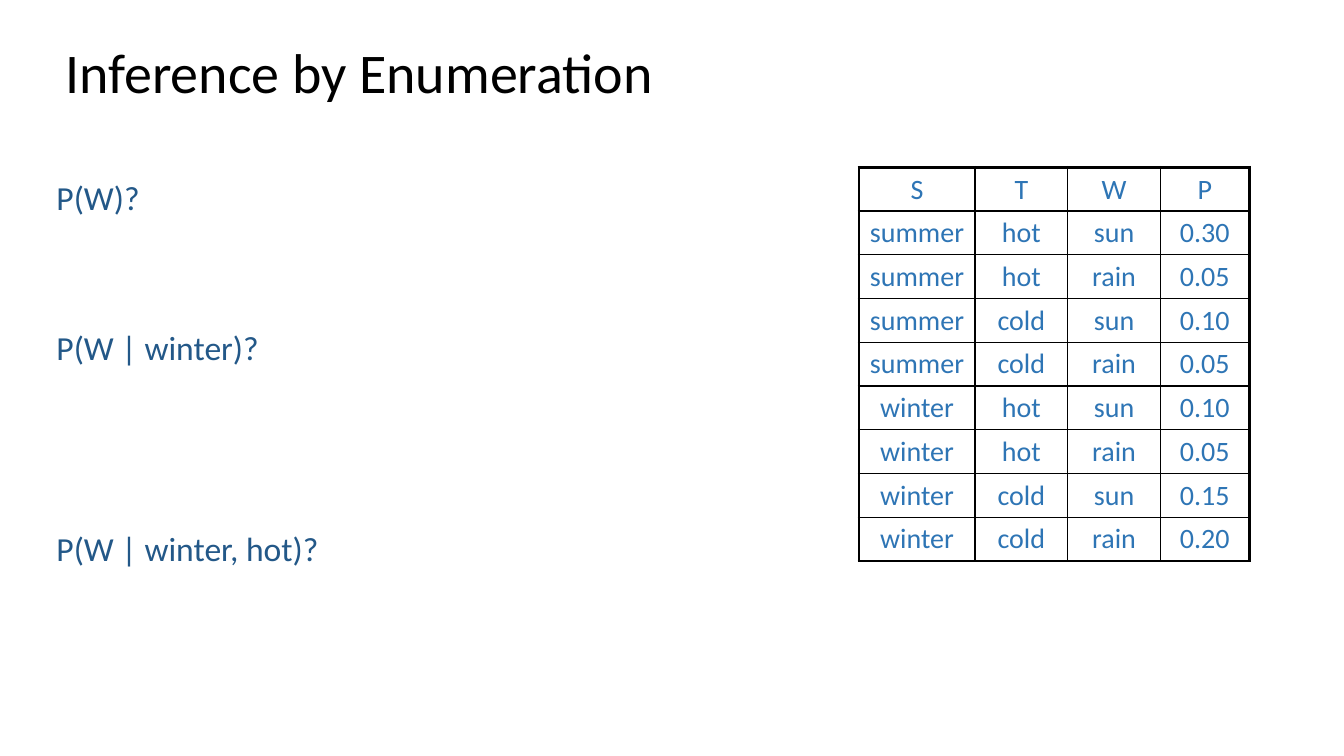
from lxml.etree import SubElement
from pptx import Presentation
from pptx.dml.color import RGBColor
from pptx.enum.text import MSO_ANCHOR, PP_ALIGN
from pptx.oxml.ns import qn
from pptx.util import Inches, Pt

TITLE = "Inference by Enumeration"
# Each query with the number of line steps below the previous one
QUERIES = [("P(W)?", 0), ("P(W | winter)?", 3), ("P(W | winter, hot)?", 4)]
JOINT_TABLE = [
    ("S", "T", "W", "P"),
    ("summer", "hot", "sun", "0.30"),
    ("summer", "hot", "rain", "0.05"),
    ("summer", "cold", "sun", "0.10"),
    ("summer", "cold", "rain", "0.05"),
    ("winter", "hot", "sun", "0.10"),
    ("winter", "hot", "rain", "0.05"),
    ("winter", "cold", "sun", "0.15"),
    ("winter", "cold", "rain", "0.20"),
]
COLUMN_WIDTHS = [1.15, 0.92, 0.92, 0.88]
ROW_HEIGHT = 0.4
LINE_STEP, LINE_HEIGHT = 36, 26.4  # points
OUTER_BORDER, INNER_BORDER = Pt(2.25), Pt(1)

BLACK = RGBColor(0x00, 0x00, 0x00)
QUERY_BLUE = RGBColor(0x23, 0x58, 0x88)
TABLE_BLUE = RGBColor(0x2E, 0x75, 0xB5)


def write(paragraph, text, size, color, **paragraph_format):
    paragraph.text = text
    for name, value in paragraph_format.items():
        setattr(paragraph, name, value)
    font = paragraph.runs[0].font
    font.name, font.size = "Calibri", Pt(size)
    font.color.rgb = color


def set_borders(cell, widths):
    """Draw solid black cell borders; widths maps L, R, T, B to lengths."""
    properties = cell._tc.get_or_add_tcPr()
    for position, (side, width) in enumerate(widths.items()):
        line = properties.makeelement(qn(f"a:ln{side}"), {"w": str(int(width))})
        fill = SubElement(line, qn("a:solidFill"))
        SubElement(fill, qn("a:srgbClr"), val=str(BLACK))
        properties.insert(position, line)


def add_title(slide):
    title = slide.shapes.title
    title.left, title.top = Inches(0.6), Inches(0.4)
    title.width, title.height = Inches(11.5), Inches(0.69)
    frame = title.text_frame
    frame.vertical_anchor = MSO_ANCHOR.MIDDLE
    frame.margin_left = frame.margin_right = Inches(0.05)
    write(frame.paragraphs[0], TITLE, 40, BLACK,
          alignment=PP_ALIGN.LEFT, line_spacing=0.9)


def add_queries(slide):
    box = slide.shapes.add_textbox(Inches(0.5), Inches(1.75), Inches(4.42), Inches(4.95))
    frame = box.text_frame
    frame.word_wrap = True
    frame.margin_left = frame.margin_right = Inches(0.06)
    for index, (query, steps) in enumerate(QUERIES):
        paragraph = frame.add_paragraph() if index else frame.paragraphs[0]
        gap = max(0, steps * LINE_STEP - LINE_HEIGHT)
        write(paragraph, query, 24, QUERY_BLUE, line_spacing=0.9, space_before=Pt(gap))


def add_joint_table(slide):
    row_count, column_count = len(JOINT_TABLE), len(COLUMN_WIDTHS)
    table = slide.shapes.add_table(
        row_count, column_count, Inches(8.52), Inches(1.66),
        Inches(sum(COLUMN_WIDTHS)), Inches(ROW_HEIGHT * row_count)).table
    table.first_row = table.horz_banding = False
    for column, width in zip(table.columns, COLUMN_WIDTHS):
        column.width = Inches(width)
    for r, values in enumerate(JOINT_TABLE):
        table.rows[r].height = Inches(ROW_HEIGHT)
        for c, value in enumerate(values):
            cell = table.cell(r, c)
            cell.fill.background()
            write(cell.text_frame.paragraphs[0], value, 20, TABLE_BLUE,
                  alignment=PP_ALIGN.CENTER)
            on_edge = {"L": c == 0, "R": c == column_count - 1,
                       "T": r == 0, "B": r == row_count - 1}
            set_borders(cell, {side: OUTER_BORDER if edge else INNER_BORDER
                               for side, edge in on_edge.items()})


def main():
    presentation = Presentation()
    presentation.slide_width = Inches(13.33)
    presentation.slide_height = Inches(7.5)
    slide = presentation.slides.add_slide(presentation.slide_layouts[5])
    add_title(slide)
    add_queries(slide)
    add_joint_table(slide)
    presentation.save("out.pptx")


if __name__ == "__main__":
    main()
